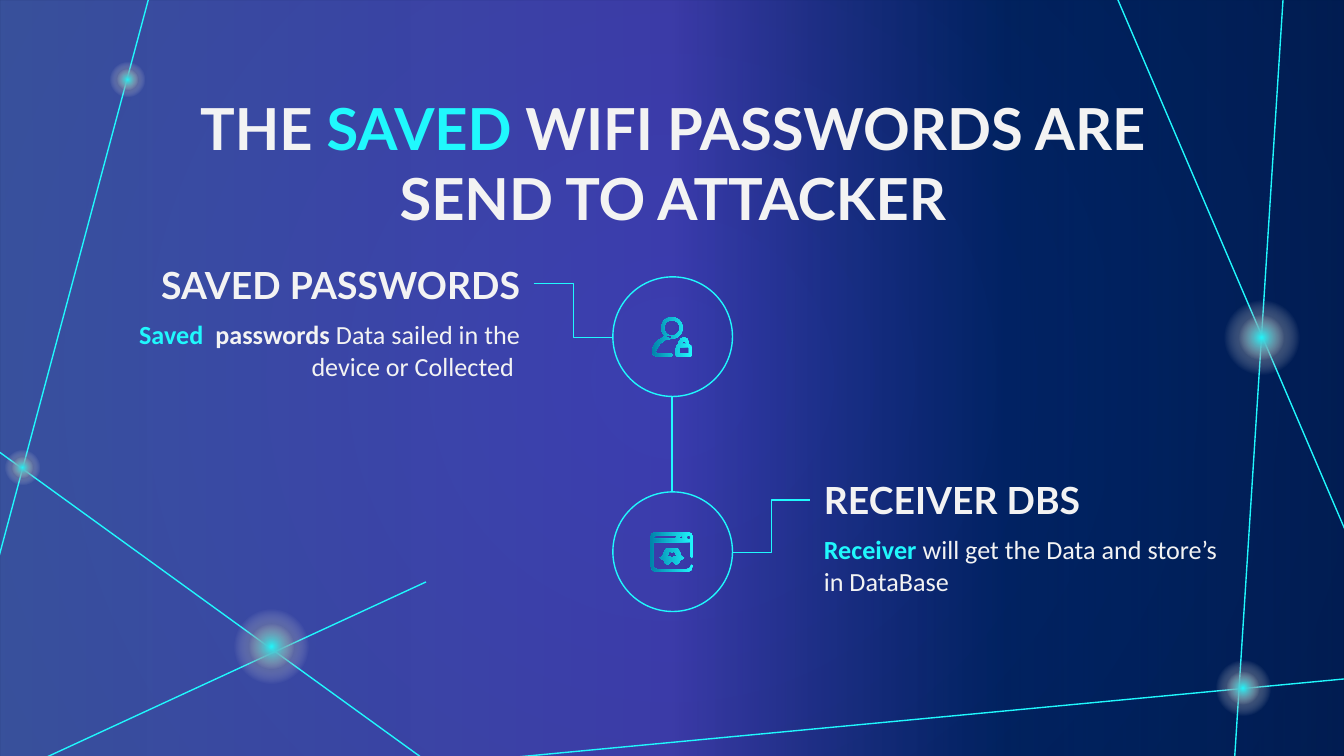
from dataclasses import dataclass
from math import cos, pi, sin

from pptx import Presentation
from pptx.dml.color import RGBColor
from pptx.enum.shapes import MSO_CONNECTOR, MSO_SHAPE
from pptx.enum.text import MSO_ANCHOR, MSO_AUTO_SIZE, PP_ALIGN
from pptx.oxml import parse_xml
from pptx.oxml.ns import nsdecls, qn
from pptx.oxml.xmlchemy import OxmlElement
from pptx.util import Inches, Pt


@dataclass(frozen=True)
class Theme:
    cyan: str = "20F8FD"
    teal: str = "0182AA"
    white: str = "F3F3F3"
    navy: str = "012060"
    night: str = "00183A"
    periwinkle: str = "748BFF"
    violet: str = "7659FF"
    blue: str = "022E88"
    heading_font: str = "Lato"
    body_font: str = "Calibri"
    title_size: int = 31
    heading_size: int = 20
    body_size: int = 14
    line_width: float = 0.75


theme = Theme()


def paint(fill, element, stops, angle=None):
    """Fill with (position, colour, opacity) stops, radial unless an angle is given."""
    fill.gradient()
    stop_xml = "".join(
        f'<a:gs pos="{position * 1000}"><a:srgbClr val="{colour}">'
        f'<a:alpha val="{opacity * 1000}"/></a:srgbClr></a:gs>'
        for position, colour, opacity in stops
    )
    if angle is None:
        direction = ('<a:path path="circle"><a:fillToRect l="50000" t="50000" '
                     'r="50000" b="50000"/></a:path>')
    else:
        direction = f'<a:lin ang="{angle * 60000}" scaled="0"/>'
    gradient = parse_xml(f'<a:gradFill {nsdecls("a")} rotWithShape="1">'
                         f'<a:gsLst>{stop_xml}</a:gsLst>{direction}</a:gradFill>')
    default = element.find(".//" + qn("a:gradFill"))
    default.getparent().replace(default, gradient)


def write(box, spans, font, size, align=PP_ALIGN.LEFT, space_after=0):
    """Write (text, colour, bold) spans as one unbulleted paragraph."""
    frame = box.text_frame
    frame.word_wrap = True
    frame.auto_size = MSO_AUTO_SIZE.NONE
    frame.vertical_anchor = MSO_ANCHOR.TOP
    frame.margin_left = frame.margin_right = Inches(0.1)
    frame.margin_top = frame.margin_bottom = Inches(0.1)
    para = frame.paragraphs[0]
    para.alignment = align
    para.line_spacing = 1.0
    para.space_before = Pt(0)
    para.space_after = Pt(space_after)
    properties = para._p.get_or_add_pPr()
    properties.set("marL", "0")
    properties.set("indent", "0")
    properties.append(OxmlElement("a:buNone"))
    for text, colour, bold in spans:
        span = para.add_run()
        span.text = text
        span.font.name = font
        span.font.size = Pt(size)
        span.font.bold = bold
        span.font.color.rgb = RGBColor.from_string(colour)


deck = Presentation()
deck.slide_width = Inches(10)
deck.slide_height = Inches(10 * 9 / 16)
page = deck.slides.add_slide(deck.slide_layouts.get_by_name("Comparison"))
paint(page.background.fill, page._element,
      [(0, theme.navy, 100), (100, theme.night, 100)])

# Backdrop
tint = page.shapes.add_shape(MSO_SHAPE.RECTANGLE, 0, 0, deck.slide_width, deck.slide_height)
tint.shadow.inherit = False
tint.line.fill.background()
paint(tint.fill, tint._element,
      [(0, theme.periwinkle, 49), (50, theme.violet, 50), (75, theme.blue, 35),
       (100, theme.navy, 60)], angle=0)

# Lines of the network and of the diagram
network = page.shapes.add_group_shape()
straight, elbow = MSO_CONNECTOR.STRAIGHT, MSO_CONNECTOR.ELBOW
lines = [
    (network, straight, (8.31, -0.02, 10.02, 3.97)),
    (network, straight, (9.55, -0.06, 9.18, 5.74)),
    (network, straight, (3.77, 5.64, 10.13, 5.04)),
    (network, straight, (-0.01, 3.36, 3.21, 5.69)),
    (network, straight, (0.16, 5.72, 3.17, 4.33)),
    (network, straight, (1.13, -0.1, -0.01, 4.15)),
    (page, elbow, (3.97, 2.11, 4.56, 2.51)),
    (page, elbow, (5.45, 4.11, 6.03, 3.72)),
    (page, straight, (5, 2.95, 5, 3.66)),
]
for owner, kind, ends in lines:
    connector = owner.shapes.add_connector(kind, *map(Inches, ends))
    connector.line.color.rgb = RGBColor.from_string(theme.cyan)
    connector.line.width = Pt(theme.line_width)
    connector._element.spPr.append(OxmlElement("a:effectLst"))

# Glowing nodes: a dark halo and a bright core
nodes = [(9.39, 2.51, 0.79), (9.25, 5.12, 0.58), (2.02, 4.81, 0.79),
         (0.17, 3.48, 0.37), (0.95, 0.59, 0.37)]
for x, y, halo in nodes:
    for size, colour in [(halo, theme.night), (halo * 0.6, theme.cyan)]:
        glow = network.shapes.add_shape(
            MSO_SHAPE.OVAL, Inches(x - size / 2), Inches(y - size / 2),
            Inches(size), Inches(size))
        glow.shadow.inherit = False
        glow.line.fill.background()
        paint(glow.fill, glow._element,
              [(0, colour, 100), (50, theme.white, 0), (100, theme.white, 0)])

# Texts, by placeholder index
heading = {"font": theme.heading_font, "size": theme.heading_size, "space_after": 16}
body = {"font": theme.body_font, "size": theme.body_size}
right = {"align": PP_ALIGN.RIGHT}
texts = [
    (0, (0.79, 0.59, 8.43, 0.69),
     [("THE ", theme.white, True), ("SAVED", theme.cyan, True),
      (" WIFI PASSWORDS ARE SEND TO ATTACKER", theme.white, True)],
     {"font": theme.heading_font, "size": theme.title_size, "align": PP_ALIGN.CENTER}),
    (1, (0.79, 1.85, 3.18, 0.52), [("SAVED PASSWORDS", theme.white, True)], heading | right),
    (2, (0.79, 2.27, 3.18, 0.89),
     [("Saved ", theme.cyan, True), (" passwords ", theme.white, True),
      ("Data sailed in the device or Collected ", theme.white, False)], body | right),
    (3, (6.03, 3.45, 3.18, 0.52), [("RECEIVER DBS", theme.white, True)], heading),
    (4, (6.03, 3.87, 3.18, 0.89),
     [("Receiver ", theme.cyan, True),
      ("will get the Data and store’s in DataBase", theme.white, False)], body),
]
boxes = {box.placeholder_format.idx: box for box in page.placeholders}
for index, place, spans, style in texts:
    box = boxes[index]
    box.left, box.top, box.width, box.height = map(Inches, place)
    write(box, spans, **style)
    page.shapes._spTree.append(box._element)  # in front of the backdrop

# Icons: outlines in hundredths of an inch from the icon's corner
circles = {
    name: [(x + radius * cos(step * pi / 12), y + radius * sin(step * pi / 12))
           for step in range(24)]
    for name, x, y, radius in [("head", 15, 8, 8), ("face", 15, 8, 5.8),
                               ("small dot", 23, 4, 1.1), ("large dot", 28.4, 4, 1.4)]
}
shoulders = [(0, 25), (2, 20), (5, 17), (10, 14), (15, 13.5), (15, 16), (10, 17),
             (6, 20), (3, 25), (3, 26.5), (4, 27), (14, 27), (15.5, 28), (14, 29.5),
             (4, 29.5), (1, 28)]
lock = [(18, 23), (18.5, 21), (20, 20), (20, 18.5), (21.5, 16), (24, 15), (26.5, 16),
        (27.5, 18.5), (27.5, 20), (29.5, 21), (30, 23), (30, 28.5), (29, 29.5),
        (19, 29.5), (18, 28.5)]
shackle = [(22.5, 20), (22.5, 19), (24, 17.7), (25.5, 19), (25.5, 20)]
lock_face = [(20.3, 27), (20.3, 23), (21, 22.3), (27, 22.3), (27.7, 23), (27.7, 27)]
window = [(28, 0), (4, 0), (1, 1), (0, 4), (0, 25), (1.5, 28.5), (5, 30), (27, 30),
          (30.5, 28.5), (32, 25), (31, 24), (30, 25), (29, 27), (27, 27.5), (5, 27.5),
          (3, 27), (2.3, 25), (2.3, 7.5), (29.7, 7.5), (29.7, 18), (31, 19.5), (32, 18),
          (32, 4), (31, 1)]
title_bar = [(2.3, 5), (2.3, 4), (4, 2.5), (20, 2.5), (19, 4), (20, 5)]
spy = [(23, 18), (22, 15), (20.5, 12.5), (18, 12), (16, 12.5), (14, 12), (11.5, 12.5),
       (10, 15), (9, 18), (7, 19), (8, 20), (10, 21), (11, 23.5), (13, 24), (16, 21.5),
       (19, 24), (21, 23.5), (22, 21), (24, 20), (25, 19)]
hat = [(13, 17), (14, 14.5), (16, 15), (18, 14.5), (19, 17), (20, 18), (16, 18.7), (12, 18)]

stations = [
    (2.06, (4.85, 2.36),
     [circles["head"], circles["face"], shoulders, lock, shackle, lock_face]),
    (3.66, (4.84, 3.96),
     [window, title_bar, circles["small dot"], circles["large dot"], spy, hat]),
]
for top, corner, outlines in stations:
    ring = page.shapes.add_shape(
        MSO_SHAPE.OVAL, Inches(4.56), Inches(top), Inches(0.89), Inches(0.89))
    ring.shadow.inherit = False
    ring.fill.background()
    ring.line.color.rgb = RGBColor.from_string(theme.cyan)
    ring.line.width = Pt(theme.line_width)

    builder = None
    for outline in outlines:
        points = [(x * 10, y * 10) for x, y in outline]
        if builder is None:
            builder = page.shapes.build_freeform(*points[0], scale=Inches(0.001))
        else:
            builder.move_to(*points[0])
        builder.add_line_segments(points[1:], close=True)
    icon = builder.convert_to_shape(*map(Inches, corner))
    icon.shadow.inherit = False
    icon.line.fill.background()
    paint(icon.fill, icon._element,
          [(0, theme.cyan, 100), (100, theme.teal, 100)], angle=180)

deck.save("out.pptx")
